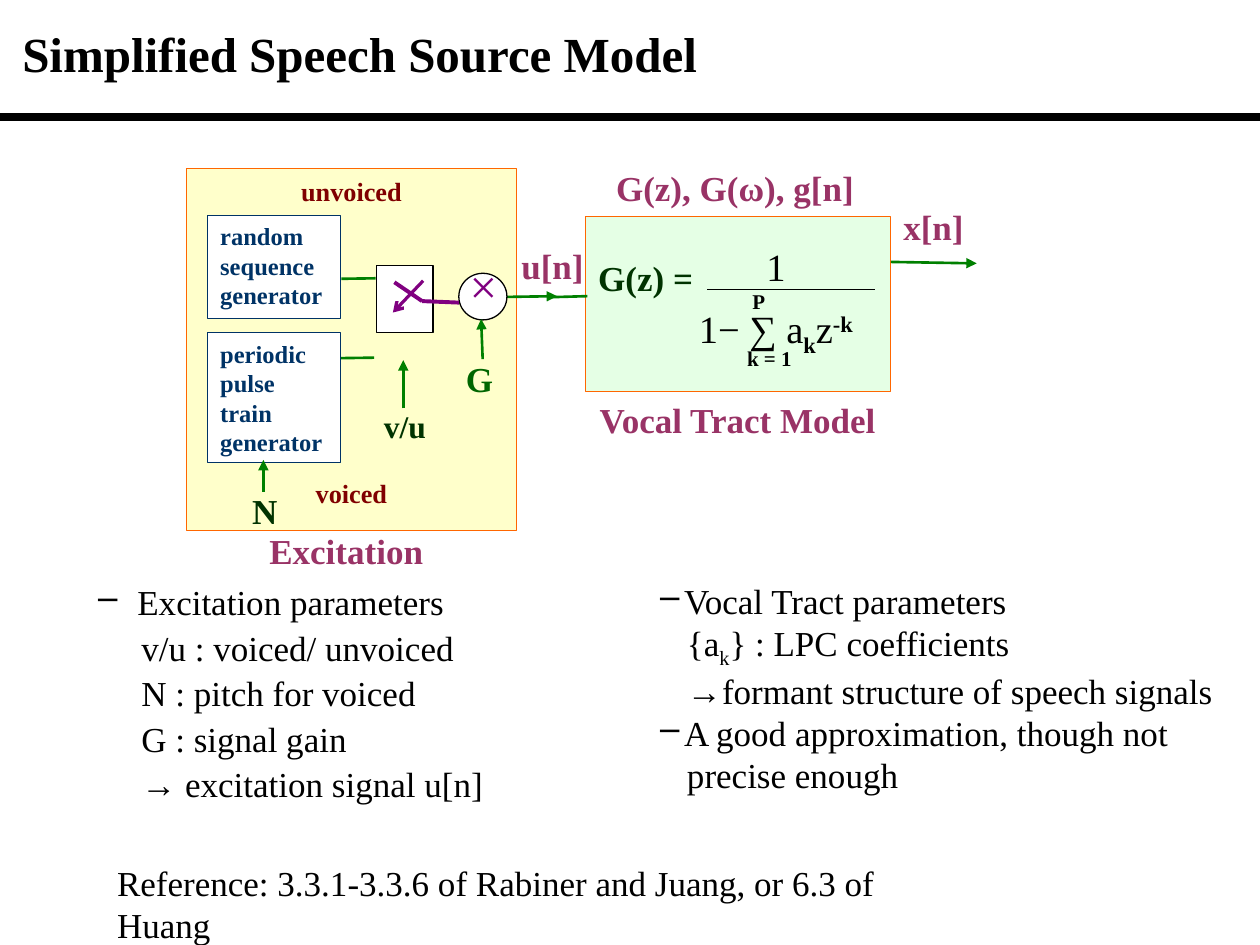
from pptx import Presentation
from pptx import util as u
from pptx.dml.color import RGBColor
from pptx.enum import shapes, text
from pptx.oxml import ns
from lxml import etree

Cm, Pt = u.Cm, u.Pt
FACE = "Times New Roman"
BLACK = RGBColor(0, 0, 0)
WHITE = RGBColor(0xFF, 0xFF, 0xFF)
CREAM = RGBColor(0xFF, 0xFF, 0x99)
MINT = RGBColor(0xCC, 0xFF, 0xCC)
ORANGE = RGBColor(0xFF, 0x66, 0x00)
NAVY = RGBColor(0x00, 0x33, 0x66)
RED = RGBColor(0x80, 0x00, 0x00)
GREEN = RGBColor(0x00, 0x80, 0x00)
LEAF = RGBColor(0x00, 0x66, 0x00)
PINE = RGBColor(0x00, 0x33, 0x00)
PURPLE = RGBColor(0x80, 0x00, 0x80)
PLUM = RGBColor(0x99, 0x33, 0x66)

RECT, OVAL = shapes.MSO_SHAPE.RECTANGLE, shapes.MSO_SHAPE.OVAL
LEFT, MID = text.PP_ALIGN.LEFT, text.PP_ALIGN.CENTER

# Places are in cm: left, top, width, height
FRAMES = [  # place, fill
    ((3.76, 3.4, 6.65, 7.29), CREAM),
    ((11.81, 4.37, 6.15, 3.53), MINT),
]
BLOCKS = [  # kind, place, line, rows of text
    (RECT, (4.19, 4.34, 2.67, 2.08), NAVY, ["random", "sequence", "generator"]),
    (RECT, (4.19, 6.71, 2.67, 2.62), NAVY, ["periodic pulse train", "generator"]),
    (RECT, (7.59, 5.36, 1.14, 1.35), BLACK, []),
    (OVAL, (9.25, 5.51, 0.97, 0.94), BLACK, []),
]
# Wires: x1, y1, x2, y2, colour, points, arrowhead
BACK = [
    (9.91, 5.99, 11.23, 5.97, GREEN, 1.5, "triangle"),
    (11.13, 5.99, 11.84, 5.97, GREEN, 1.5, None),
    (17.96, 5.28, 19.69, 5.31, GREEN, 1.5, "triangle"),
    (6.83, 7.22, 7.54, 7.21, GREEN, 1.5, None),
    (6.88, 5.62, 7.57, 5.61, GREEN, 1.5, None),
]
FRONT = [
    (8.53, 5.66, 7.92, 6.3, PURPLE, 1.8, "arrow"),
    (7.95, 5.69, 8.51, 6.07, PURPLE, 2.25, None),
    (8.51, 6.07, 9.25, 6.1, PURPLE, 2.25, None),
    (17.63, 5.84, 14.25, 5.84, BLACK, 0.25, None),
    (8.13, 8.23, 8.13, 7.26, GREEN, 1.5, "triangle"),
    (5.31, 9.91, 5.31, 9.27, GREEN, 1.5, "triangle"),
    (9.73, 7.24, 9.7, 6.43, GREEN, 1.5, "triangle"),
]
LABELS = [  # text, place, size, colour, bold, alignment
    ("×", (9.22, 5.03, 1.07, 1.32), 28, PURPLE, False, LEFT),
    ("x[n]", (17.96, 4.01, 1.78, 1.47), 20, PLUM, True, LEFT),
    ("u[n]", (10.26, 4.8, 1.83, 1.27), 20, PLUM, True, LEFT),
    ("Excitation", (5.18, 10.54, 3.81, 1.47), 20, PLUM, True, LEFT),
    ("G(z), G(ω), g[n]", (12.17, 3.23, 5.51, 1.47), 20, PLUM, True, LEFT),
    ("Vocal Tract Model", (11.84, 7.9, 6.43, 1.47), 20, PLUM, True, LEFT),
    ("G", (9.14, 7.09, 1.78, 1.47), 20, LEAF, True, LEFT),
    ("v/u", (7.49, 8.08, 1.78, 1.47), 18, PINE, True, LEFT),
    ("N", (4.45, 9.75, 1.78, 1.47), 20, PINE, True, MID),
    ("Reference: 3.3.1-3.3.6 of Rabiner and Juang, or 6.3 of Huang",
     (2.11, 17.25, 17.5, 1.09), 20, BLACK, False, LEFT),
]
# Lists: place, dash margin, hanging indent, plain margin, space before, rows
# A row is (dash?, runs); a run is (text, baseline)
LISTS = [
    ((0.23, 11.58, 12, 4.83), 2.29, 0.79, 2.37, 2, [
        (True, [("Excitation parameters", 0)]),
        (False, [("v/u : voiced/ unvoiced", 0)]),
        (False, [("N : pitch for voiced", 0)]),
        (False, [("G : signal gain", 0)]),
        (False, [("→ excitation signal u[n]", 0)]),
    ]),
    ((12.55, 11.56, 12.55, 4.5), 0.99, 0.48, 1.05, 0, [
        (True, [("Vocal Tract parameters", 0)]),
        (False, [("{a", 0), ("k", -25), ("} : LPC coefficients", 0)]),
        (False, [("→formant structure of speech signals", 0)]),
        (True, [("A good approximation, though not", 0)]),
        (False, [("precise enough", 0)]),
    ]),
]
SUM = [("1− ∑ a", 0), ("k", -25), ("z", 0), ("-k", 30)]


def add_run(par, words, size, color, bold=False, base=0):
    run = par.add_run()
    run.text = words
    font = run.font
    font.name, font.size, font.bold = FACE, Pt(size), bold
    font.color.rgb = color
    if base:
        run._r.get_or_add_rPr().set("baseline", str(base * 1000))


def indent(par, left, hang=0, dash=False):
    props = par._p.get_or_add_pPr()
    props.set("marL", str(Cm(left)))
    props.set("indent", str(-Cm(hang)))
    if dash:
        etree.SubElement(props, ns.qn("a:buChar")).set("char", "–")


def add_text(slide, place):
    frame = slide.shapes.add_textbox(*map(Cm, place)).text_frame
    frame.word_wrap = True
    return frame


def next_par(frame, first):
    return frame.paragraphs[0] if first else frame.add_paragraph()


def add_box(slide, kind, place, fill, line, alpha=None):
    box = slide.shapes.add_shape(kind, *map(Cm, place))
    box.shadow.inherit = False
    box.fill.solid()
    box.fill.fore_color.rgb = fill
    if alpha:
        tint = box._element.spPr.find(".//" + ns.qn("a:srgbClr"))
        etree.SubElement(tint, ns.qn("a:alpha")).set("val", str(alpha * 1000))
    box.line.color.rgb = line
    box.line.width = Pt(0.75)
    frame = box.text_frame
    frame.word_wrap = True
    frame.vertical_anchor = text.MSO_ANCHOR.TOP
    frame.paragraphs[0].alignment = LEFT
    return frame


def add_wire(slide, x1, y1, x2, y2, color, width, head):
    wire = slide.shapes.add_connector(
        shapes.MSO_CONNECTOR.STRAIGHT, Cm(x1), Cm(y1), Cm(x2), Cm(y2))
    wire.line.color.rgb = color
    wire.line.width = Pt(width)
    if head:
        etree.SubElement(wire.line._get_or_add_ln(),
                         ns.qn("a:tailEnd")).set("type", head)
    etree.SubElement(wire._element.spPr, ns.qn("a:effectLst"))


def draw_model(slide):
    source, tract = [add_box(slide, RECT, place, fill, ORANGE, 50)
                     for place, fill in FRAMES]
    for i, word in enumerate(["unvoiced", "voiced"]):
        par = next_par(source, i == 0)
        par.alignment = MID
        if i:
            par.space_before = Pt(155)
        add_run(par, word, 15, RED, True)
    tract.margin_top = Cm(0.8)
    add_run(tract.paragraphs[0], "G(z) =", 20, PINE, True)

    for wire in BACK:
        add_wire(slide, *wire)
    for kind, place, line, rows in BLOCKS:
        frame = add_box(slide, kind, place, WHITE, line)
        for i, row in enumerate(rows):
            par = next_par(frame, i == 0)
            par.alignment = LEFT
            add_run(par, row, 14, NAVY, True)
    for wire in FRONT:
        add_wire(slide, *wire)


def draw_ratio(slide):
    frame = add_text(slide, (13.84, 4.78, 4.01, 2.54))
    top, low = frame.paragraphs[0], frame.add_paragraph()
    indent(top, 1.36)
    top.space_after = Pt(9)
    add_run(top, "1", 22, BLACK)
    for words, base in SUM:
        add_run(low, words, 22, BLACK, base != 0, base)

    frame = add_text(slide, (14.91, 5.79, 1.47, 2.03))
    frame.margin_left = frame.margin_right = Cm(0.15)
    frame.margin_top = frame.margin_bottom = Cm(0.03)
    top, low = frame.paragraphs[0], frame.add_paragraph()
    indent(top, 0.11)
    add_run(top, "P", 12, BLACK, True)
    low.space_before = Pt(18)
    add_run(low, "k = 1", 12, BLACK, True)


def draw_lists(slide):
    for place, left, hang, plain, gap, rows in LISTS:
        frame = add_text(slide, place)
        for i, (dash, runs) in enumerate(rows):
            par = next_par(frame, i == 0)
            indent(par, left if dash else plain, hang if dash else 0, dash)
            if i:
                par.space_before = Pt(gap)
            for words, base in runs:
                add_run(par, words, 20, BLACK, base=base)


def main():
    deck = Presentation()
    deck.slide_width, deck.slide_height = Cm(25.4), Cm(19.05)
    slide = deck.slides.add_slide(deck.slide_layouts[6])
    add_wire(slide, 0, 2.36, 25.4, 2.36, BLACK, 4.5, None)
    title = add_text(slide, (0.2, 0.2, 25, 1.9))
    title.vertical_anchor = text.MSO_ANCHOR.MIDDLE
    title.paragraphs[0].line_spacing = 0.9
    add_run(title.paragraphs[0], "Simplified Speech Source Model", 28, BLACK, True)
    draw_model(slide)
    draw_ratio(slide)
    for words, place, size, color, bold, align in LABELS:
        par = add_text(slide, place).paragraphs[0]
        par.alignment = align
        add_run(par, words, size, color, bold)
    draw_lists(slide)
    deck.save("out.pptx")


if __name__ == "__main__":
    main()
